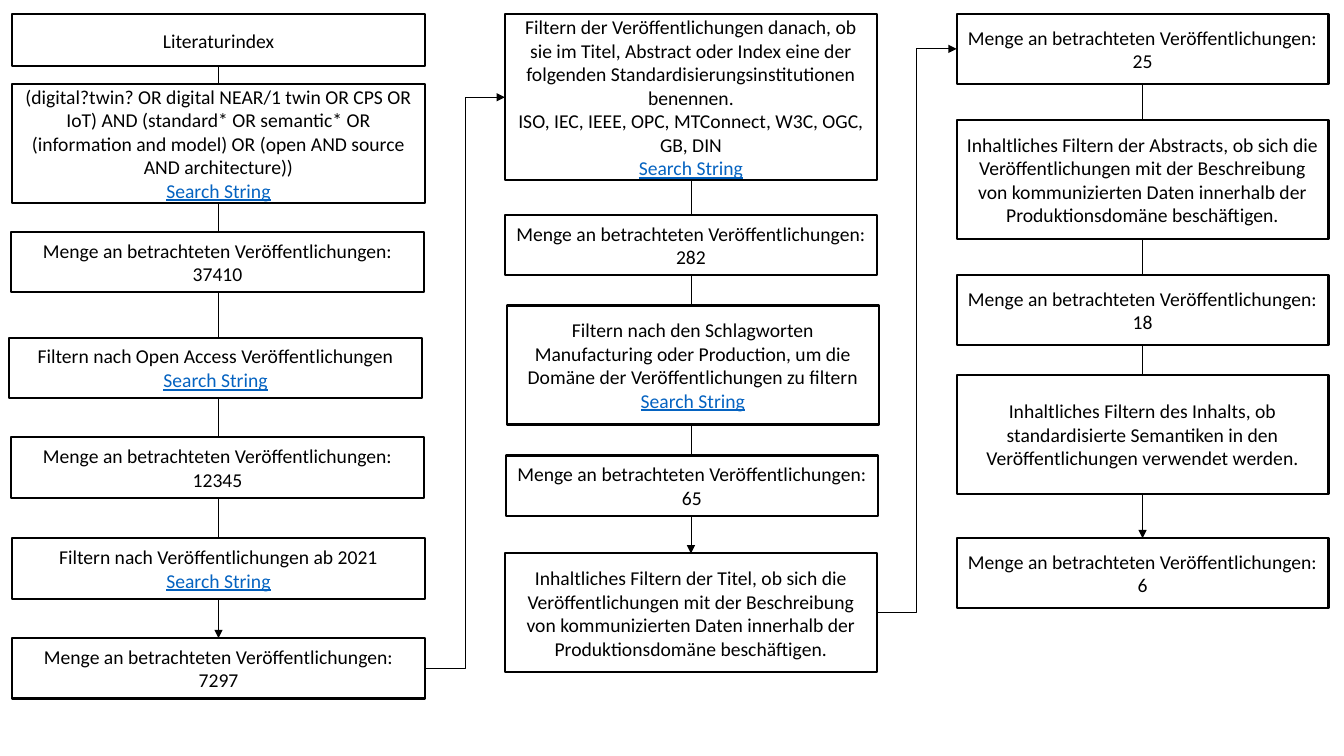
"""Build a slide with a three-column flow chart of a literature search."""
from lxml import etree
from pptx import Presentation
from pptx.dml.color import RGBColor
from pptx.enum.shapes import MSO_CONNECTOR, MSO_SHAPE
from pptx.enum.text import MSO_ANCHOR, PP_ALIGN
from pptx.oxml.ns import qn
from pptx.util import Pt

COLORS = {"ink": "000000", "box": "FFFFFF", "link": "0563C1"}
FONT, TEXT_SIZE = "Calibri", 14
BOX_LINE, ARROW_LINE = 1.5, 0.5
LINK = "Search String"
BREAK = "\v"
COUNT = "Menge an betrachteten Veröffentlichungen: "
TOPIC = (
    ", ob sich die Veröffentlichungen mit der Beschreibung von kommunizierten "
    "Daten innerhalb der Produktionsdomäne beschäftigen."
)
SMALL, MEDIUM, LARGE = 43.2, 49.7, 85

# Each box: shift from the column's left edge, top, height, paragraphs
COLUMNS = [
    {"left": 8.6, "width": 295, "boxes": [
        (0, 10.1, 37.4, ["Literaturindex"]),
        (0, 59.8, LARGE, [
            "(digital?twin? OR digital NEAR/1 twin OR CPS OR IoT) AND "
            "(standard* OR semantic* OR (information and model) OR "
            "(open AND source AND architecture))" + BREAK + LINK]),
        (-0.7, 165.7, SMALL, [COUNT + "37410"]),
        (-2.1, 241.2, SMALL, ["Filtern nach Open Access Veröffentlichungen", LINK]),
        (-0.7, 312.5, SMALL, [COUNT + "12345"]),
        (0, 384.5, SMALL, ["Filtern nach Veröffentlichungen ab 2021", LINK]),
        (0, 455.8, SMALL, [COUNT + "7297"]),
    ]},
    {"left": 360.7, "width": 265.7, "boxes": [
        (0, 10.1, 118.8, [
            "Filtern der Veröffentlichungen danach, ob sie im Titel, Abstract oder "
            "Index eine der folgenden Standardisierungsinstitutionen benennen.",
            "ISO, IEC, IEEE, OPC, MTConnect, W3C, OGC, GB, DIN" + BREAK + LINK]),
        (0, 153.4, SMALL, [COUNT + "282"]),
        (1.4, 218.2, LARGE, [
            "Filtern nach den Schlagworten Manufacturing oder Production, um die "
            "Domäne der Veröffentlichungen zu filtern" + BREAK + LINK]),
        (0.7, 325.4, SMALL, [COUNT + "65"]),
        (0, 395.3, LARGE, ["Inhaltliches Filtern der Titel" + TOPIC]),
    ]},
    {"left": 683.3, "width": 265.7, "boxes": [
        (0, 10.1, MEDIUM, [COUNT + "25"]),
        (0, 85.7, LARGE, ["Inhaltliches Filtern der Abstracts" + TOPIC]),
        (0, 196.6, MEDIUM, [COUNT + "18"]),
        (0, 267.8, LARGE, [
            "Inhaltliches Filtern des Inhalts, ob standardisierte Semantiken in "
            "den Veröffentlichungen verwendet werden."]),
        (0, 384.5, MEDIUM, [COUNT + "6"]),
    ]},
]


def color(name):
    return RGBColor.from_string(COLORS[name])


def add_arrow(slide, kind, *ends):
    connector = slide.shapes.add_connector(kind, *map(Pt, ends))
    connector.line.color.rgb = color("ink")
    connector.line.width = Pt(ARROW_LINE)
    line = connector.line._get_or_add_ln()
    etree.SubElement(line, qn("a:tailEnd"), type="triangle")
    etree.SubElement(connector._element.spPr, qn("a:effectLst"))


def add_text(paragraph, text):
    paragraph.alignment = PP_ALIGN.CENTER
    for index, part in enumerate(text.split(BREAK)):
        if index:
            paragraph.add_line_break()
        run = paragraph.add_run()
        run.text = part
        run.font.name = FONT
        run.font.size = Pt(TEXT_SIZE)
        run.font.color.rgb = color("link" if part == LINK else "ink")
        if part == LINK:
            run.font.underline = True


def add_box(slide, left, top, width, height, paragraphs):
    shape = slide.shapes.add_shape(
        MSO_SHAPE.RECTANGLE, Pt(left), Pt(top), Pt(width), Pt(height))
    shape.shadow.inherit = False
    shape.fill.solid()
    shape.fill.fore_color.rgb = color("box")
    shape.line.color.rgb = color("ink")
    shape.line.width = Pt(BOX_LINE)
    frame = shape.text_frame
    frame.word_wrap = True
    frame.vertical_anchor = MSO_ANCHOR.MIDDLE
    for index, text in enumerate(paragraphs):
        add_text(frame.add_paragraph() if index else frame.paragraphs[0], text)


def middle(box):
    _, top, height, _ = box
    return top + height / 2


presentation = Presentation()
presentation.slide_width, presentation.slide_height = Pt(960), Pt(540)
slide = presentation.slides.add_slide(presentation.slide_layouts[6])

for column in COLUMNS:
    left, width, boxes = column["left"], column["width"], column["boxes"]
    center = left + width / 2
    _, first_top, first_height, _ = boxes[0]
    add_arrow(slide, MSO_CONNECTOR.STRAIGHT,
              center, first_top + first_height, center, boxes[-1][1])
    for shift, top, height, paragraphs in boxes:
        add_box(slide, left + shift, top, width, height, paragraphs)

for column, following in zip(COLUMNS, COLUMNS[1:]):
    add_arrow(slide, MSO_CONNECTOR.ELBOW,
              column["left"] + column["width"], middle(column["boxes"][-1]),
              following["left"], middle(following["boxes"][0]))

presentation.save("out.pptx")
